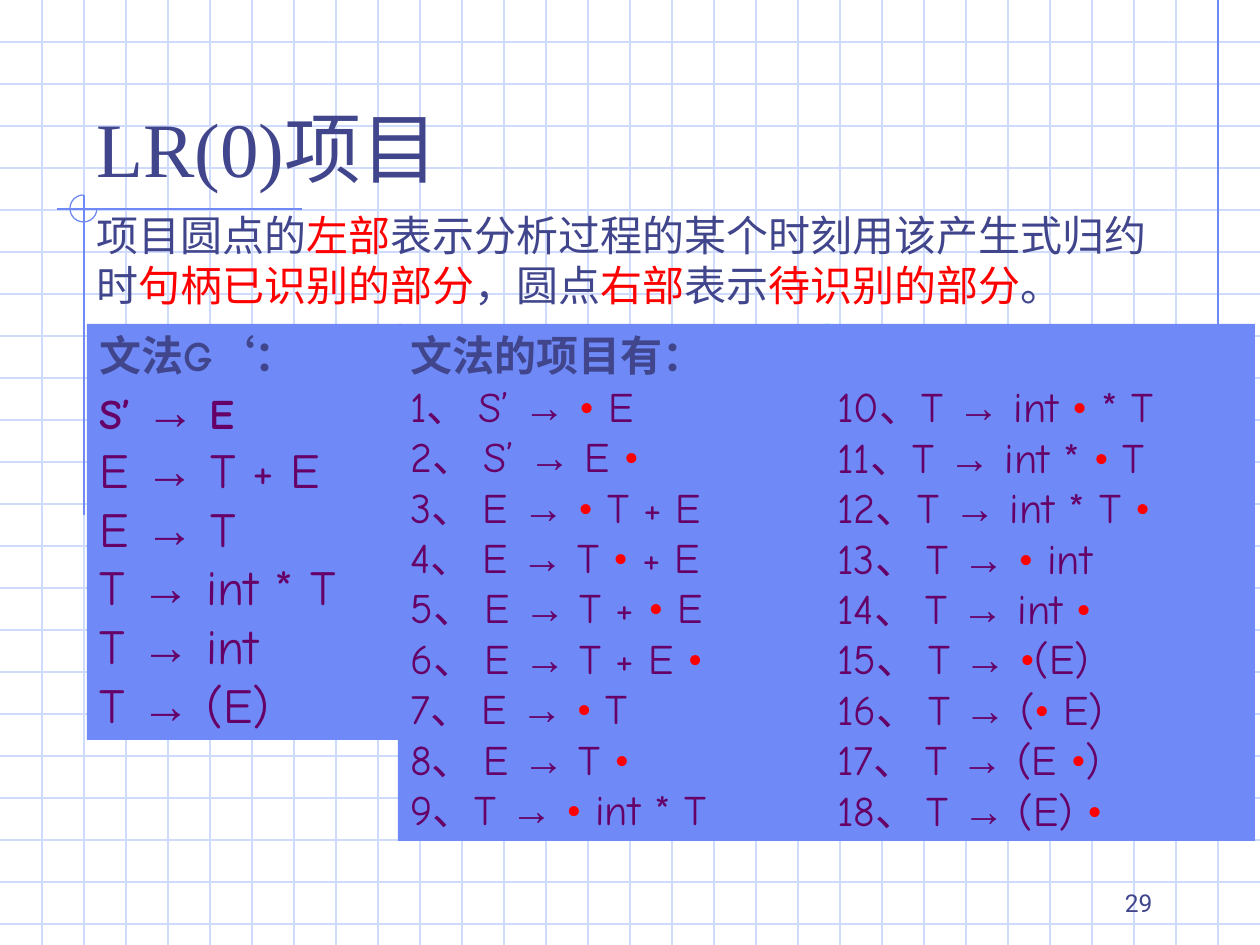
from itertools import groupby

from lxml import etree
from pptx import Presentation
from pptx.dml.color import RGBColor
from pptx.enum.shapes import MSO_CONNECTOR, MSO_SHAPE
from pptx.enum.text import MSO_ANCHOR, PP_ALIGN
from pptx.oxml.ns import qn
from pptx.util import Pt

EMU_PER_INCH = 914400
PX_PER_INCH = 126
WIDTH, HEIGHT, GRID = 1260, 945, 42

STRAIGHT = MSO_CONNECTOR.STRAIGHT
RECTANGLE, ARC = MSO_SHAPE.RECTANGLE, MSO_SHAPE.ARC
TOP, BOTTOM = MSO_ANCHOR.TOP, MSO_ANCHOR.BOTTOM
LEFT, RIGHT = PP_ALIGN.LEFT, PP_ALIGN.RIGHT

PALE = RGBColor(0xCF, 0xDB, 0xFD)
BLUE = RGBColor(0x6F, 0x89, 0xF7)
NAVY = RGBColor(0x40, 0x45, 0x8C)
PURPLE = RGBColor(0x66, 0x00, 0x66)
RED = RGBColor(0xFF, 0x00, 0x00)

SERIF, COMIC, ARROW_FONT, NUMBER_FONT = "Times New Roman", "Comic Neue", "Arial", "Roboto"
SYMBOLS = {"→": ARROW_FONT, "•": SERIF}

EXPLANATION = (
    "项目圆点的|左部|表示分析过程的某个时刻用该产生式归约时|句柄已识别的部分"
    "|，圆点|右部|表示|待识别的部分|。"
)
GRAMMAR = ["E → T + E", "E → T", "T → int * T", "T → int", "T → (E)"]
ITEMS = [
    "1、 S’ → • E", "2、 S’ → E •", "3、 E → • T + E", "4、 E → T • + E",
    "5、 E → T + • E", "6、 E → T + E •", "7、 E → • T", "8、 E → T •",
    "9、T → • int * T",
]
MORE_ITEMS = [
    "10、T → int • * T", "11、T → int * • T", "12、T → int * T •",
    "13、 T → • int", "14、 T → int •", "15、 T → •(E)", "16、 T → (• E)",
    "17、 T → (E •)", "18、 T → (E) •",
]


def px(*lengths):
    return [round(length * EMU_PER_INCH / PX_PER_INCH) for length in lengths]


def add_span(para, text, font=SERIF, size=24, color=NAVY, bold=False):
    span = para.add_run()
    span.text = text
    span.font.name = font
    span.font.size = Pt(size)
    span.font.color.rgb = color
    span.font.bold = bold


def add_production(para, text, size=24, bold=False, arrow_size=None):
    """Write a production, giving arrows and dots their own font and the dots red."""
    for symbol, chars in groupby(text, lambda char: char if char in SYMBOLS else ""):
        add_span(
            para,
            "".join(chars),
            font=SYMBOLS.get(symbol, COMIC),
            size=arrow_size or size if symbol == "→" else size,
            color=RED if symbol == "•" else PURPLE,
            bold=bold and not symbol,
        )


class SlideBuilder:
    def __init__(self, deck):
        self.page = deck.slides.add_slide(deck.slide_layouts[5])
        self.shapes = self.page.shapes

    def line(self, x1, y1, x2, y2, color=BLUE):
        line = self.shapes.add_connector(STRAIGHT, *px(x1, y1, x2, y2))
        line.line.color.rgb = color
        line.line.width = Pt(0.75)
        etree.SubElement(line.element.spPr, qn("a:effectLst"))

    def grid(self):
        for y in range(GRID, HEIGHT, GRID):
            self.line(0, y, WIDTH, y, PALE)
        for x in range(GRID, WIDTH - GRID + 1, GRID):
            self.line(x, 0, x, HEIGHT, PALE)

    def three_quarter_circle(self, left, top, diameter):
        arc = self.shapes.add_shape(ARC, *px(left, top, diameter, diameter))
        arc.shadow.inherit = False
        arc.fill.background()
        arc.line.color.rgb = BLUE
        arc.line.width = Pt(0.75)
        # Angles are in 60000ths of a degree, adjustments in 100000ths.
        arc.adjustments[0] = 0
        arc.adjustments[1] = 270 * 0.6

    def frame(self, shape, anchor=TOP):
        frame = shape.text_frame
        frame.word_wrap = True
        frame.vertical_anchor = anchor
        return frame

    def title(self, text, left, top, width, height):
        title = self.shapes.title
        title.left, title.top, title.width, title.height = px(left, top, width, height)
        para = self.frame(title, BOTTOM).paragraphs[0]
        para.alignment = LEFT
        add_span(para, text, size=44)
        title.element.getparent().append(title.element)  # in front of the grid

    def text(self, left, top, width, height, align=LEFT, anchor=TOP):
        box = self.shapes.add_textbox(*px(left, top, width, height))
        para = self.frame(box, anchor).paragraphs[0]
        para.alignment = align
        return para

    def panel(self, left, top, width, height, top_inset=6):
        """Add a filled panel and return a function giving its next paragraph."""
        box = self.shapes.add_shape(RECTANGLE, *px(left, top, width, height))
        box.shadow.inherit = False
        box.fill.solid()
        box.fill.fore_color.rgb = BLUE
        box.line.fill.background()
        frame = self.frame(box)
        frame.margin_top = px(top_inset)[0]
        unused = [frame.paragraphs[0]]

        def next_para():
            para = unused.pop() if unused else frame.add_paragraph()
            para.alignment = LEFT
            return para

        return next_para


def main():
    deck = Presentation()
    deck.slide_width, deck.slide_height = px(WIDTH, HEIGHT)
    slide = SlideBuilder(deck)

    slide.grid()
    slide.line(1218, 0, 1218, 325)
    slide.line(302, 209, 57, 209)
    slide.line(84, 195, 84, 515)
    slide.three_quarter_circle(70, 195, 27)

    number = slide.text(903, 861, 262, 63, align=RIGHT, anchor=BOTTOM)
    add_span(number, "29", font=NUMBER_FONT, size=14)

    grammar = slide.panel(87, 324, 315, 416)
    add_span(grammar(), "文法G‘：", font=COMIC, bold=True)
    add_production(grammar(), "S’ → E", bold=True, arrow_size=28)
    for production in GRAMMAR:
        add_production(grammar(), production, size=28)

    items = slide.panel(398, 324, 431, 517)
    add_span(items(), "文法的项目有：", font=COMIC, bold=True)
    for item in ITEMS:
        add_production(items(), item)

    more_items = slide.panel(825, 324, 430, 517, top_inset=57)
    for item in MORE_ITEMS:
        add_production(more_items(), item)

    slide.title("LR(0)项目", 84, 42, 1071, 157)

    explanation = slide.text(84, 203, 1081, 113)
    for index, part in enumerate(EXPLANATION.split("|")):
        add_span(explanation, part, color=RED if index % 2 else NAVY)

    deck.save("out.pptx")


if __name__ == "__main__":
    main()
